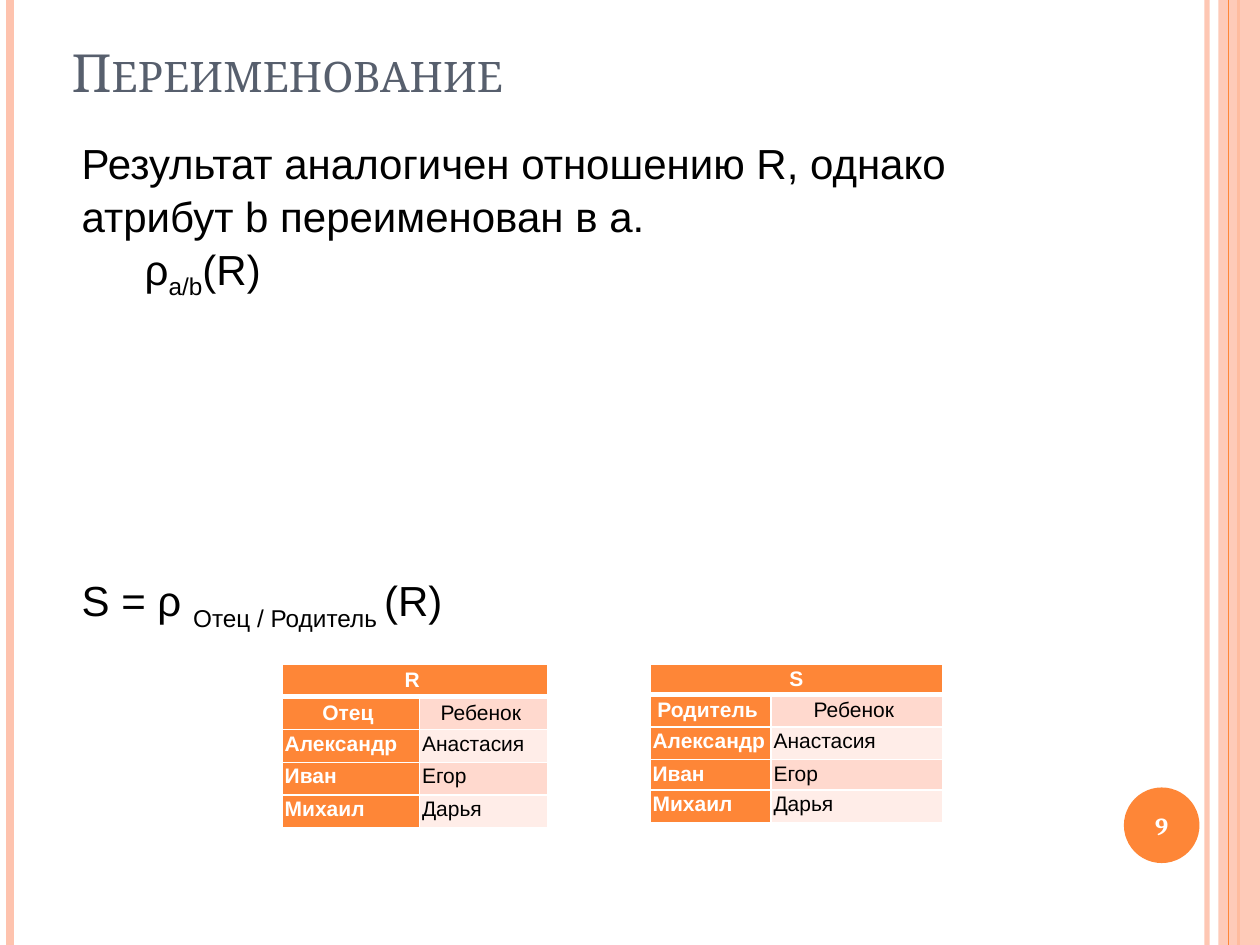
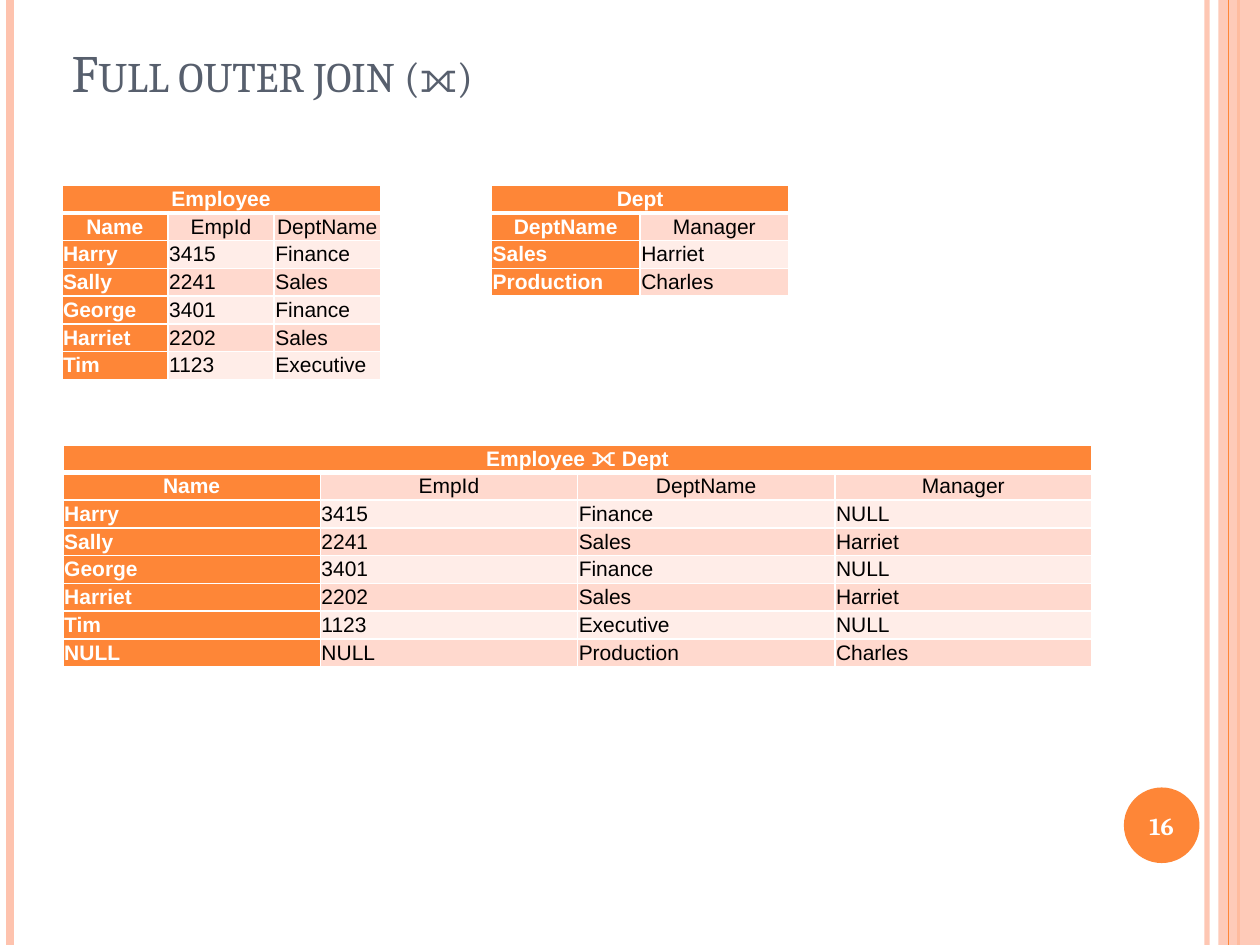
from lxml import etree
from pptx import Presentation
from pptx.dml.color import RGBColor
from pptx.enum.shapes import MSO_CONNECTOR, MSO_SHAPE
from pptx.enum.text import MSO_ANCHOR, PP_ALIGN
from pptx.oxml.ns import qn
from pptx.util import Inches, Pt

LINE = MSO_CONNECTOR.STRAIGHT
RECT, OVAL = MSO_SHAPE.RECTANGLE, MSO_SHAPE.OVAL
TOP, MIDDLE, BOTTOM = MSO_ANCHOR.TOP, MSO_ANCHOR.MIDDLE, MSO_ANCHOR.BOTTOM
LEFT, CENTER = PP_ALIGN.LEFT, PP_ALIGN.CENTER

ORANGE = RGBColor(0xFE, 0x86, 0x37)
PEACH = RGBColor(0xFE, 0xC3, 0xAE)
ROSE = RGBColor(0xFF, 0xD9, 0xCE)
BLUSH = RGBColor(0xFF, 0xED, 0xE8)
SLATE = RGBColor(0x57, 0x5F, 0x6D)
WHITE = RGBColor(0xFF, 0xFF, 0xFF)
BLACK = RGBColor(0, 0, 0)

deck = Presentation()
deck.slide_width, deck.slide_height = Inches(10), Inches(7.5)
COL = deck.slide_width / 100
ROW = deck.slide_height / 75


def add_text(slide, x, y, w, h, paras, face, size, color, anchor=TOP, marks=None):
    box = slide.shapes.add_textbox(int(x * COL), int(y * ROW), int(w * COL), int(h * ROW))
    frame = box.text_frame
    frame.word_wrap = True
    frame.vertical_anchor = anchor
    for i, parts in enumerate(paras):
        para = frame.paragraphs[0] if i == 0 else frame.add_paragraph()
        para.font.name, para.font.size = face, Pt(size)
        para.font.color.rgb = color
        if anchor == TOP:
            para.line_spacing = 1.05
        for j, part in enumerate(parts):
            run = para.add_run()
            run.text = part
            props = run._r.get_or_add_rPr()
            if j == 1:
                props.set("baseline", "-25000")
            if marks:
                props.set("cap", marks)


def add_grid(slide, x, y, widths, heights, rows, inset, anchor):
    table = slide.shapes.add_table(
        len(rows), len(widths), int(x * COL), int(y * ROW),
        int(sum(widths) * COL), int(sum(heights) * ROW)).table
    for i, width in enumerate(widths):
        table.columns[i].width = int(width * COL)
    for r, row in enumerate(rows):
        table.rows[r].height = int(heights[r] * ROW)
        for c in range(len(widths)):
            cell = table.cell(r, c)
            cell.margin_left = cell.margin_right = int(inset * COL)
            cell.margin_top = cell.margin_bottom = int(inset * ROW)
            cell.vertical_anchor = MIDDLE if r < 2 else anchor
            for side in "LRTB":
                thick = 3 if (r, side) in ((0, "B"), (1, "T")) else 1
                edge = etree.SubElement(cell._tc.get_or_add_tcPr(), qn("a:ln" + side), w=str(Pt(thick)))
                fill = etree.SubElement(edge, qn("a:solidFill"))
                etree.SubElement(fill, qn("a:srgbClr"), val=str(WHITE))
            head = r == 0 or c == 0
            cell.fill.solid()
            cell.fill.fore_color.rgb = ORANGE if head else ROSE if r % 2 else BLUSH
            if c < len(row):
                cell.text = row[c]
            para = cell.text_frame.paragraphs[0]
            para.alignment = CENTER if r < 2 else LEFT
            para.font.name, para.font.size = "Arial", Pt(12)
            para.font.bold = head
            para.font.color.rgb = WHITE if head else BLACK
    table.cell(0, 0).merge(table.cell(0, len(widths) - 1))


BAND = 96.7
STRIPES = [(95.8, PEACH, 3, 93), (0.8, PEACH, 4.5, 100), (98.3, ORANGE, 1.5, 100),
           (BAND, PEACH, 0, 87), (97.5, ORANGE, 0.75, 100)]

slides = []
for title, number in (("Переименование", "9"), ("Full outer join (⟗)", "16")):
    slide = deck.slides.add_slide(deck.slide_layouts[6])
    slides.append(slide)
    for x, color, thick, solid in STRIPES:
        if x == BAND:
            shape = slide.shapes.add_shape(
                RECT, int(x * COL), 0, int((100 - x) * COL), deck.slide_height)
            shape.shadow.inherit = False
            shape.line.fill.background()
            paint = shape.fill
            paint.solid()
        else:
            shape = slide.shapes.add_connector(
                LINE, int(x * COL), 0, int(x * COL), deck.slide_height)
            etree.SubElement(shape._element.spPr, qn("a:effectLst"))
            shape.line.width = Pt(thick)
            paint = shape.line.fill
            paint.solid()
        paint.fore_color.rgb = color
        if solid < 100:
            tint = shape._element.spPr.find(".//" + qn("a:srgbClr"))
            etree.SubElement(tint, qn("a:alpha"), val=str(solid * 1000))

    badge = slide.shapes.add_shape(OVAL, int(89.2 * COL), int(62.5 * ROW), int(6 * COL), int(6 * ROW))
    badge.shadow.inherit = False
    badge.line.fill.background()
    badge.fill.solid()
    badge.fill.fore_color.rgb = ORANGE
    frame = badge.text_frame
    frame.margin_left = frame.margin_right = frame.margin_top = frame.margin_bottom = 0
    frame.vertical_anchor = MIDDLE
    frame.text = number
    para = frame.paragraphs[0]
    para.alignment = CENTER
    para.font.name, para.font.size, para.font.bold = "Cambria", Pt(14), True
    para.font.color.rgb = WHITE

    add_text(slide, 4.7, 0, 81.7, 8.7, [[title]], "Cambria", 30, SLATE, BOTTOM, "small")

rename, join = slides

for y, h, paras in (
    (10.2, 29.7, [["Результат аналогичен отношению R, однако атрибут b переименован в a."],
                  ["\tρ", "a/b", "(R)"]]),
    (44.9, 7.9, [["S = ρ ", "Отец / Родитель ", "(R)"]]),
):
    add_text(rename, 5.5, y, 81.5, h, paras, "Arial", 24, BLACK)

family = [["Александр", "Анастасия"], ["Иван", "Егор"], ["Михаил", "Дарья"]]
for x, widths, heights, name, parent in (
    (22.4, [10.9, 10.2], [2.6] * 5, "R ", "Отец "),
    (51.6, [9.6, 13.6], [2.1, 2.6, 2.6, 2.1, 2.6], "S", "Родитель "),
):
    add_grid(rename, x, 52.7, widths, heights, [[name], [parent, "Ребенок "]] + family, 0.2, TOP)

staff = [["Name", "EmpId", "DeptName"], ["Harry", "3415", "Finance"],
         ["Sally", "2241", "Sales"], ["George", "3401", "Finance"],
         ["Harriet", "2202", "Sales"], ["Tim", "1123", "Executive"]]
heads = [["DeptName", "Manager"], ["Sales", "Harriet"], ["Production", "Charles"]]
boss = dict(heads)
full = [row + [boss.get(row[2], "NULL")] for row in staff]
full.append(["NULL", "NULL", "Production", boss["Production"]])

for x, y, width, height, name, rows in (
    (4.9, 14.7, 8.43, 2, "Employee", staff),
    (39, 14.7, 11.8, 2.2, "Dept", heads),
    (5, 35.3, 20.42, 2, "Employee ⟗ Dept", full),
):
    add_grid(join, x, y, [width] * len(rows[0]), [height] * (len(rows) + 1),
             [[name]] + rows, 0.1, MIDDLE)

deck.save("out.pptx")
